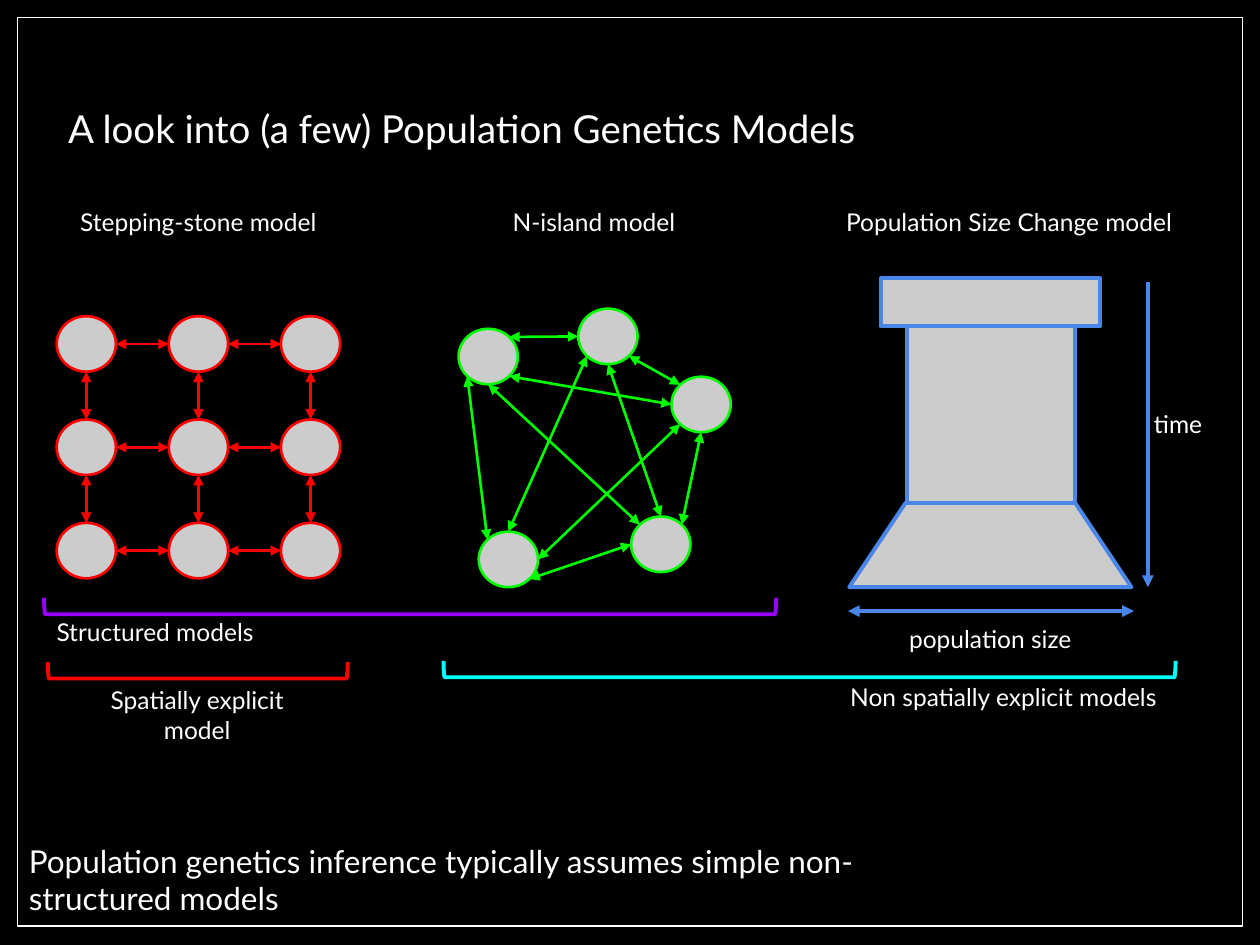
from dataclasses import dataclass
from itertools import product
from math import cos, radians, sin

from lxml import etree
from pptx import Presentation
from pptx import util as u
from pptx.dml.color import RGBColor
from pptx.enum import shapes, text
from pptx.oxml import ns


@dataclass(frozen=True)
class Theme:
    font: str = "Lato"
    background: str = "000000"
    foreground: str = "FFFFFF"
    population: str = "CCCCCC"
    stepping: str = "FF0000"
    island: str = "00FF00"
    change: str = "4A86E8"
    structured: str = "9900FF"
    non_spatial: str = "00FFFF"
    title_size: float = 22
    conclusion_size: float = 18
    label_size: float = 14
    frame_line: float = 0.75
    thin_line: float = 1.5
    thick_line: float = 2.25


THEME = Theme()
LEFT, CENTER, RIGHT = text.PP_ALIGN.LEFT, text.PP_ALIGN.CENTER, text.PP_ALIGN.RIGHT
NODE_WIDTH, NODE_HEIGHT = 0.47, 0.44
ANGLES = {"right": 0, "bottom right": 45, "bottom": 90, "bottom left": 135,
          "left": 180, "top left": 225, "top": 270, "top right": 315}


def apply(target, **values):
    for name, value in values.items():
        setattr(target, name, value)


def inches(*lengths):
    return [u.Inches(length) for length in lengths]


def node_edge(node, side):
    left, top = node
    angle = radians(ANGLES[side])
    return (left + NODE_WIDTH / 2 * (1 + cos(angle)),
            top + NODE_HEIGHT / 2 * (1 + sin(angle)))


class SlideBuilder:
    def __init__(self, slide, theme):
        self.slide = slide
        self.theme = theme
        self.canvas = slide.shapes
        fill = slide.background.fill
        fill.solid()
        fill.fore_color.rgb = RGBColor.from_string(theme.background)

    def group(self):
        self.canvas = self.slide.shapes.add_group_shape().shapes

    def ungroup(self):
        self.canvas = self.slide.shapes

    def outline(self, shape, color, width):
        shape.line.color.rgb = RGBColor.from_string(color)
        shape.line.width = u.Pt(width)

    def shape(self, kind, box, color, width, fill=None, rotation=0):
        shape = self.canvas.add_shape(kind, *inches(*box))
        shape.shadow.inherit = False
        shape.rotation = rotation
        if fill:
            shape.fill.solid()
            shape.fill.fore_color.rgb = RGBColor.from_string(fill)
        else:
            shape.fill.background()
        self.outline(shape, color, width)
        return shape

    def node(self, position, color):
        self.shape(shapes.MSO_SHAPE.OVAL, (*position, NODE_WIDTH, NODE_HEIGHT),
                   color, self.theme.thin_line, self.theme.population)

    def bracket(self, left, middle, width, color):
        depth = 0.13
        box = (left + (width - depth) / 2, middle - width / 2, depth, width)
        shape = self.shape(shapes.MSO_SHAPE.LEFT_BRACKET, box, color,
                           self.theme.thick_line, rotation=270)
        shape.adjustments[0] = 0.083

    def arrow(self, start, end, color, width, ends=("headEnd", "tailEnd")):
        connector = self.canvas.add_connector(
            shapes.MSO_CONNECTOR.STRAIGHT, *inches(*start, *end))
        self.outline(connector, color, width)
        properties = connector.element.spPr
        line = properties.find(ns.qn("a:ln"))
        for name in ends:
            etree.SubElement(line, ns.qn(f"a:{name}"), type="triangle")
        etree.SubElement(properties, ns.qn("a:effectLst"))

    def set_text(self, shape, words, size, alignment, anchor):
        frame = shape.text_frame
        margins = ("margin_left", "margin_top", "margin_right", "margin_bottom")
        apply(frame, word_wrap=True, auto_size=text.MSO_AUTO_SIZE.NONE,
              vertical_anchor=anchor, **dict.fromkeys(margins, u.Inches(0.1)))
        frame.text = words
        for paragraph in frame.paragraphs:
            paragraph.alignment = alignment
            for run in paragraph.runs:
                apply(run.font, name=self.theme.font, size=u.Pt(size))
                run.font.color.rgb = RGBColor.from_string(self.theme.foreground)

    def title(self, words, box):
        title = self.slide.shapes.title
        apply(title, **dict(zip(("left", "top", "width", "height"), inches(*box))))
        self.set_text(title, words, self.theme.title_size, LEFT, text.MSO_ANCHOR.MIDDLE)

    def label(self, words, box, alignment=CENTER, size=None):
        self.set_text(self.canvas.add_textbox(*inches(*box)), words,
                      size or self.theme.label_size, alignment, text.MSO_ANCHOR.TOP)


def draw_stepping_stones(builder):
    color, width = THEME.stepping, THEME.thin_line
    columns = [0.45 + 0.89 * index for index in range(3)]
    rows = [2.51 + 0.82 * index for index in range(3)]
    builder.group()
    for node in product(columns, rows):
        builder.node(node, color)
    for (left, right), row in product(zip(columns, columns[1:]), rows):
        builder.arrow(node_edge((left, row), "right"),
                      node_edge((right, row), "left"), color, width)
    for column, (upper, lower) in product(columns, zip(rows, rows[1:])):
        builder.arrow(node_edge((column, upper), "bottom"),
                      node_edge((column, lower), "top"), color, width)
    builder.ungroup()


def draw_islands(builder):
    islands = {"west": (3.64, 2.61), "southwest": (3.8, 4.22),
               "southeast": (5.01, 4.1), "north": (4.59, 2.45), "east": (5.33, 2.99)}
    migrations = [
        ("southwest", "top left", "west", "bottom left"),
        ("southwest", "bottom right", "southeast", "left"),
        ("southwest", "top", "north", "bottom left"),
        ("west", "top right", "north", "left"),
        ("north", "bottom", "southeast", "top"),
        ("southeast", "top left", "west", "bottom"),
        ("north", "bottom right", "east", "top left"),
        ("east", "bottom", "southeast", "top right"),
        ("east", "bottom left", "southwest", "right"),
        ("east", "left", "west", "bottom right"),
    ]
    builder.group()
    for island in islands.values():
        builder.node(island, THEME.island)
    for source, source_side, target, target_side in migrations:
        builder.arrow(node_edge(islands[source], source_side),
                      node_edge(islands[target], target_side),
                      THEME.island, THEME.thin_line)
    builder.ungroup()


def draw_size_change(builder):
    color, width = THEME.change, THEME.thick_line
    kinds = shapes.MSO_SHAPE
    builder.group()
    for kind, box, rotation in [
        (kinds.FLOWCHART_MANUAL_OPERATION, (6.74, 3.99, 2.24, 0.67), 180),
        (kinds.RECTANGLE, (7.2, 2.48, 1.33, 1.51), 0),
        (kinds.RECTANGLE, (6.99, 2.21, 1.74, 0.38), 0),
    ]:
        builder.shape(kind, box, color, width, THEME.population, rotation)
    builder.arrow((9.11, 2.24), (9.11, 4.66), color, width, ("tailEnd",))
    builder.arrow((6.73, 4.85), (9, 4.85), color, width)
    builder.label("time", (9.06, 3.15, 0.71, 0.44), LEFT)
    builder.label("population size", (6.83, 4.85, 2.06, 0.44))
    builder.ungroup()


def main():
    presentation = Presentation()
    presentation.slide_width, presentation.slide_height = inches(10, 7.5)
    slide = presentation.slides.add_slide(presentation.slide_layouts[5])
    builder = SlideBuilder(slide, THEME)
    builder.shape(shapes.MSO_SHAPE.RECTANGLE, (0.14, 0.14, 9.72, 7.21),
                  THEME.foreground, THEME.frame_line)
    builder.title("A look into (a few) Population Genetics Models", (0.44, 0.72, 9, 0.6))
    for words, left, width in [("Stepping-stone model", 0.3, 2.55),
                               ("N-island model", 3.78, 1.87),
                               ("Population Size Change model", 6.26, 3.5)]:
        builder.label(words, (left, 1.54, width, 0.44))
    draw_islands(builder)
    draw_stepping_stones(builder)
    draw_size_change(builder)
    builder.bracket(0.35, 4.81, 5.81, THEME.structured)
    builder.bracket(0.38, 5.32, 2.38, THEME.stepping)
    builder.bracket(3.52, 5.31, 5.81, THEME.non_spatial)
    builder.label("Structured models", (0.35, 4.8, 2.55, 0.38), LEFT)
    builder.label("Spatially explicit\nmodel", (0.29, 5.34, 2.55, 0.6))
    builder.label("Non spatially explicit models ", (5.3, 5.31, 4.03, 0.44), RIGHT)
    builder.label("Population genetics inference typically assumes simple non-structured models",
                  (0.13, 6.58, 7.02, 0.85), LEFT, THEME.conclusion_size)
    presentation.save("out.pptx")


if __name__ == "__main__":
    main()
